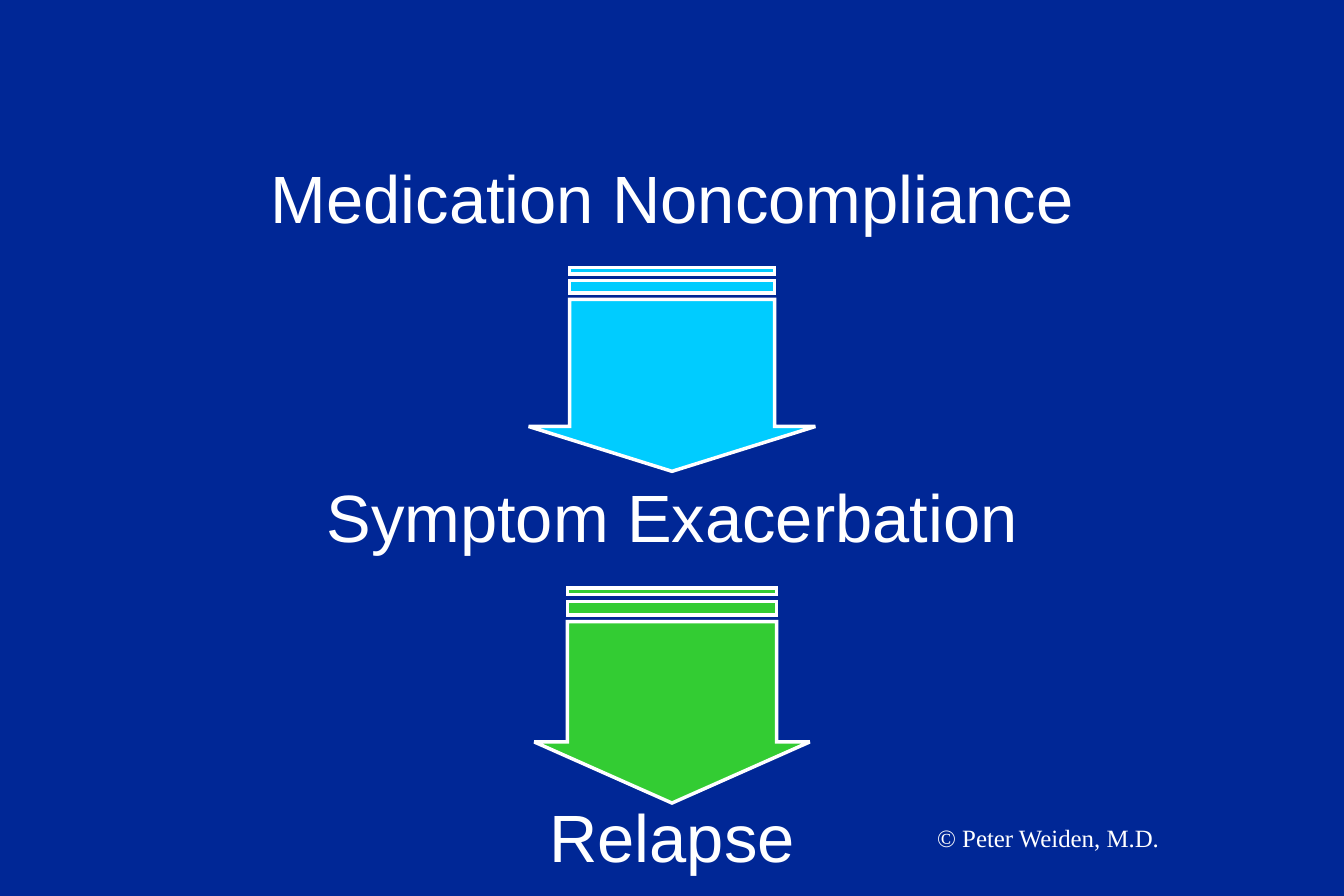
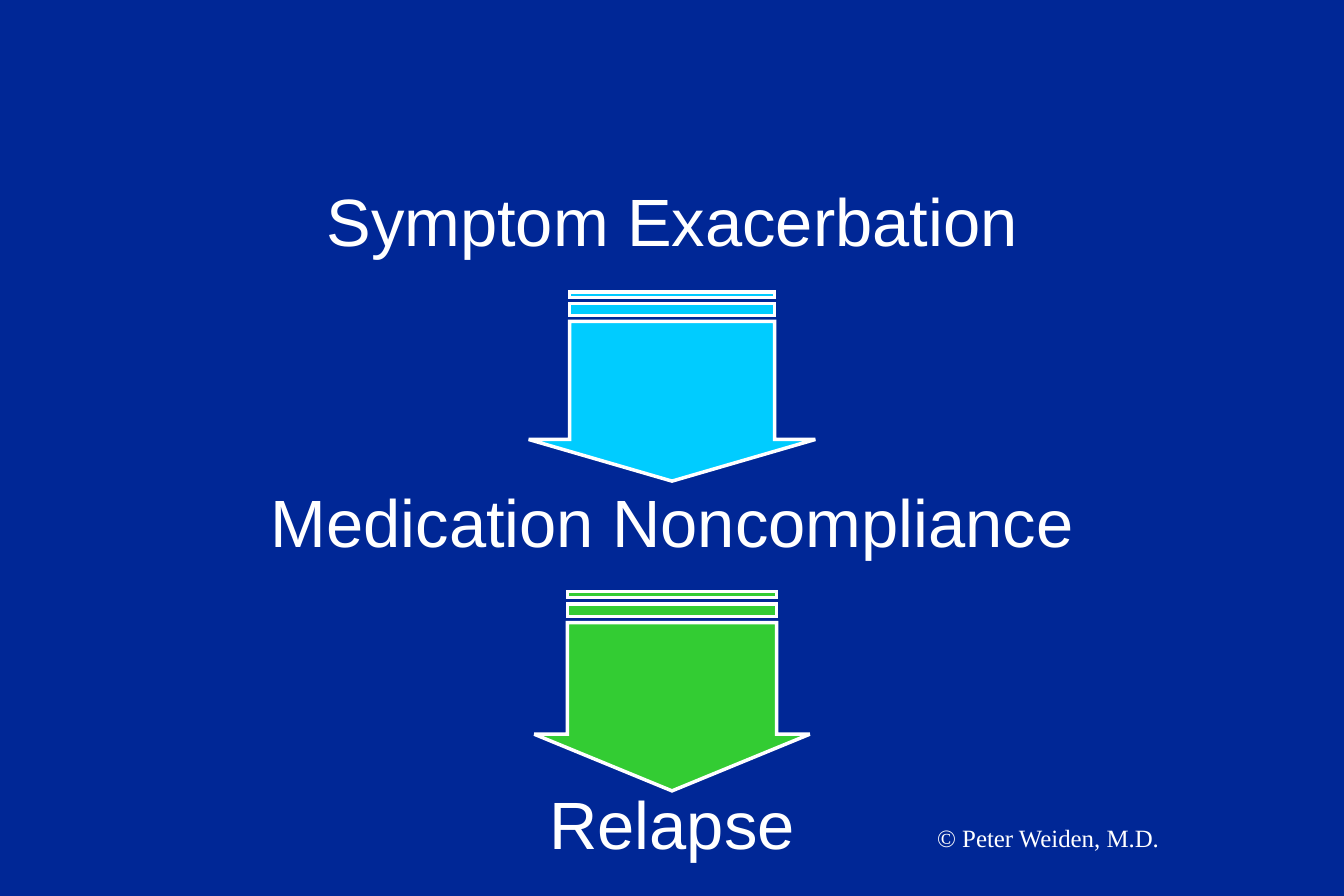
from lxml.etree import SubElement
from pptx import Presentation
from pptx.dml.color import RGBColor
from pptx.enum.shapes import MSO_SHAPE as Shape
from pptx.enum.text import MSO_AUTO_SIZE as Auto, PP_ALIGN as Align
from pptx.oxml.ns import qn
from pptx.util import Pt

NAVY = RGBColor(0x00, 0x27, 0x96)
WHITE = RGBColor(0xFF, 0xFF, 0xFF)
CYAN = RGBColor(0x00, 0xCC, 0xFF)
GREEN = RGBColor(0x33, 0xCC, 0x33)

WIDE, HIGH = 864, 576
MID = WIDE / 2

# Arrow styles: fill, span across the head, shaft share, head share
FIRST = (CYAN, 184.32, 0.715, 0.22)
SECOND = (GREEN, 177.12, 0.76, 0.284)

# Stage names with the widths of their boxes
RELAPSE = ("Relapse", 394)
SYMPTOM = ("Symptom Exacerbation", 624)


def add_label(slide, box, text, size, face, align):
    left, top, width, height = box
    frame = slide.shapes.add_textbox(
        Pt(left), Pt(top), Pt(width), Pt(height)).text_frame
    frame.word_wrap = True
    frame.auto_size = Auto.SHAPE_TO_FIT_TEXT
    para = frame.paragraphs[0]
    para.alignment = align
    run = para.add_run()
    run.text = text
    run.font.size = Pt(size)
    run.font.name = face
    run.font.color.rgb = WHITE


def add_arrow(slide, top, length, style):
    """Striped arrow pointing down, centred on the slide."""
    fill, span, shaft, head = style
    arrow = slide.shapes.add_shape(
        Shape.STRIPED_RIGHT_ARROW,
        Pt(MID - length / 2), Pt(top + length / 2 - span / 2),
        Pt(length), Pt(span))
    arrow.rotation = 90
    arrow.adjustments[0] = shaft
    arrow.adjustments[1] = head
    arrow.shadow.inherit = False
    arrow.fill.solid()
    arrow.fill.fore_color.rgb = fill
    arrow.line.color.rgb = WHITE
    arrow.line.width = Pt(2.25)
    # Sharp corners
    line = arrow.element.spPr.find(qn("a:ln"))
    SubElement(line, qn("a:miter")).set("lim", "800000")


def add_flow(deck, top, step, stages, arrows):
    slide = deck.slides.add_slide(deck.slide_layouts[6])
    slide.background.fill.solid()
    slide.background.fill.fore_color.rgb = NAVY
    # Stages, evenly spaced
    for row, (text, width) in enumerate(stages):
        box = (MID - width / 2, top + row * step, width, 59)
        add_label(slide, box, text, 43, "Arial", Align.CENTER)
    # Arrows between the stages
    for (start, length), style in zip(arrows, (FIRST, SECOND)):
        add_arrow(slide, start, length, style)
    # Credit
    add_label(slide, (595.44, 525.6, 268.56, 26.64), "© Peter Weiden, M.D.",
              16, "Times New Roman", Align.LEFT)


def main():
    deck = Presentation()
    deck.slide_width, deck.slide_height = Pt(WIDE), Pt(HIGH)
    cause = "Medication Noncompliance"
    add_flow(deck, 97.2, 205.2, [(cause, WIDE), SYMPTOM, RELAPSE],
             [(172, 131), (378, 138.24)])
    add_flow(deck, 111.6, 194.1, [SYMPTOM, (cause, 640), RELAPSE],
             [(187.6, 121.7), (380.2, 128.2)])
    deck.save("out.pptx")


if __name__ == "__main__":
    main()
